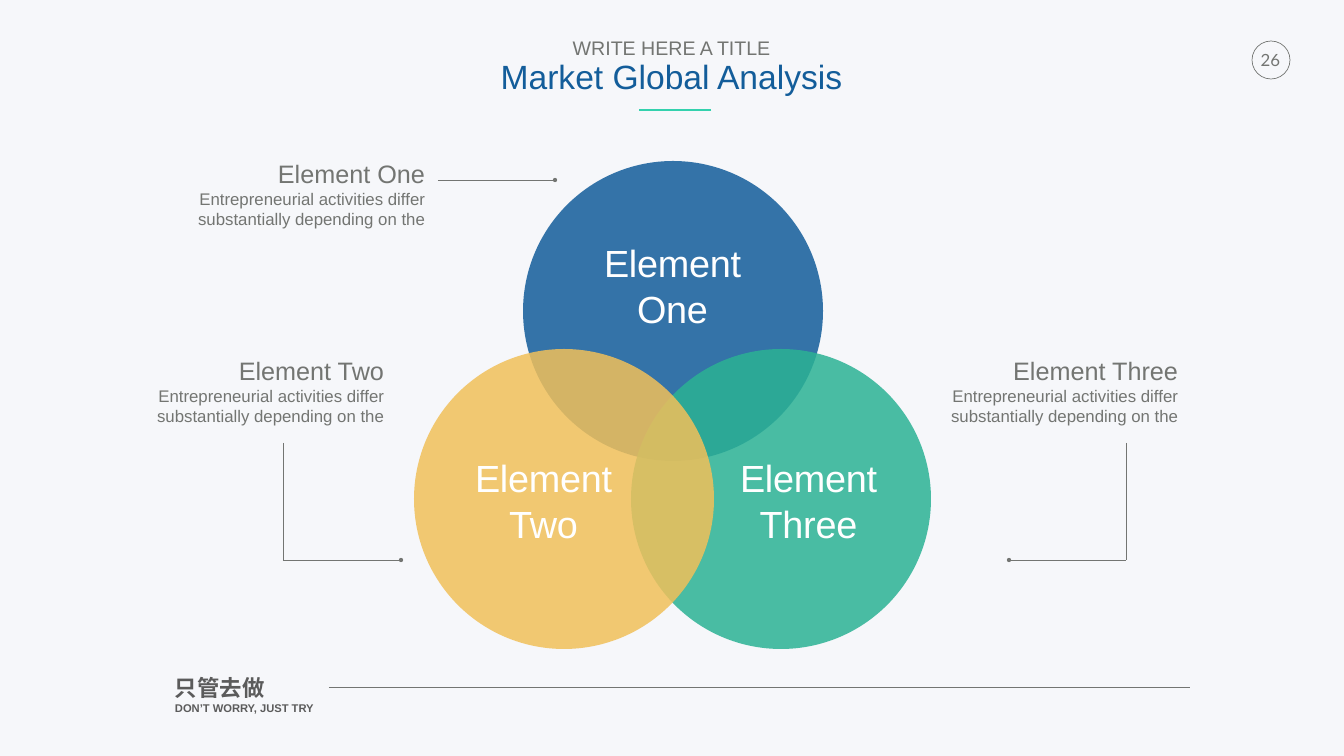
"""Build the market analysis slide with three overlapping circles and callouts."""
from lxml import etree
from pptx import Presentation
from pptx.dml.color import RGBColor
from pptx.enum.shapes import MSO_CONNECTOR, MSO_SHAPE
from pptx.enum.text import MSO_AUTO_SIZE, PP_ALIGN
from pptx.oxml.ns import qn
from pptx.util import Pt

PX = 914400 / 50.4
OVAL, STRAIGHT = MSO_SHAPE.OVAL, MSO_CONNECTOR.STRAIGHT
LEFT, CENTER, RIGHT = PP_ALIGN.LEFT, PP_ALIGN.CENTER, PP_ALIGN.RIGHT
FIT = MSO_AUTO_SIZE.SHAPE_TO_FIT_TEXT

BACKGROUND = RGBColor(0xF6, 0xF7, 0xFA)
GRAY = RGBColor(0x73, 0x75, 0x72)
DARK = RGBColor(0x5B, 0x5B, 0x5B)
BLUE = RGBColor(0x13, 0x5D, 0x9A)
GREEN = RGBColor(0x2B, 0xB2, 0x94)
YELLOW = RGBColor(0xF1, 0xC0, 0x5A)
MINT = RGBColor(0x33, 0xD1, 0xAD)
WHITE = RGBColor(0xFF, 0xFF, 0xFF)

SLOGAN = [("只管去做", 32, DARK), ("DON’T WORRY, JUST TRY", 16, DARK)]
TITLE = [("WRITE HERE A TITLE", 28, GRAY), ("Market Global Analysis", 48, BLUE)]
PAGE = [("26", 24, GRAY)]
DETAIL = "Entrepreneurial activities differ substantially depending on the"

DIAMETER = 300
CIRCLES = [(523, 161, BLUE), (631, 349, GREEN), (414, 349, YELLOW)]
LABELS = [("Element\vOne", 593, 238), ("Element\vTwo", 464, 453),
          ("Element\vThree", 729, 453)]
CALLOUTS = [("Element One", 126, 151, 306), ("Element Two", 85, 348, 306),
            ("Element Three", 931, 348, 254)]
LEADERS = [[(438, 180), (555, 180)],
           [(283, 443), (283, 560), (401, 560)],
           [(1126, 443), (1126, 560), (1009, 560)]]


def emu(*lengths):
    return [round(n * PX) for n in lengths]


def add_circle(shapes, x, y, size, fill=None):
    sp = shapes.add_shape(OVAL, *emu(x, y, size, size))
    sp.shadow.inherit = False
    if fill is None:
        sp.fill.background()
        sp.line.color.rgb = GRAY
        sp.line.width = Pt(1)
        return
    sp.fill.solid()
    sp.fill.fore_color.rgb = fill
    color = sp._element.spPr.find(qn("a:solidFill"))[0]
    etree.SubElement(color, qn("a:alpha"), val="85000")
    sp.line.fill.background()


def add_line(shapes, start, end, color=GRAY, width=1, dot=False):
    cxn = shapes.add_connector(STRAIGHT, *emu(*start, *end))
    cxn.line.color.rgb = color
    cxn.line.width = Pt(width)
    spPr = cxn._element.spPr
    if dot:
        etree.SubElement(spPr.find(qn("a:ln")), qn("a:tailEnd"), type="oval")
    etree.SubElement(spPr, qn("a:effectLst"))


def add_text(shapes, box, paragraphs, align, inset=2, wrap=True, font="Arial",
             bold=False, spacing=None, tracking=None):
    tf = shapes.add_textbox(*emu(*box)).text_frame
    tf.word_wrap = wrap
    tf.auto_size = FIT
    tf.margin_left, tf.margin_top, tf.margin_right, tf.margin_bottom = emu(*[inset] * 4)
    for i, (text, size, color) in enumerate(paragraphs):
        p = tf.add_paragraph() if i else tf.paragraphs[0]
        p.alignment = align
        p.line_spacing = spacing
        for j, part in enumerate(text.split("\v")):
            if j:
                p.add_line_break()
            r = p.add_run()
            r.text = part
            r.font.name = font
            r.font.size = Pt(size)
            r.font.bold = bold
            r.font.color.rgb = color
            if tracking:
                r._r.get_or_add_rPr().set("spc", str(tracking))


def main():
    prs = Presentation()
    prs.slide_width, prs.slide_height = emu(1344, 756)
    s = prs.slides.add_slide(prs.slide_layouts[6])
    s.background.fill.solid()
    s.background.fill.fore_color.rgb = BACKGROUND
    shapes = s.shapes

    add_circle(shapes, 1252, 41, 38)
    add_text(shapes, (173, 672, 201, 50), SLOGAN, LEFT, bold=True)
    add_line(shapes, (329, 687), (1190, 687), width=0.25)
    add_text(shapes, (1253, 45, 35, 30), PAGE, CENTER, inset=5, wrap=False, font="Lato")

    for x, y, color in CIRCLES:
        add_circle(shapes, x, y, DIAMETER, color)
    for text, x, y in LABELS:
        add_text(shapes, (x, y, 159, 96), [(text, 54, WHITE)], CENTER, tracking=-40)

    add_text(shapes, (494, 37, 355, 67), TITLE, CENTER, wrap=False, spacing=0.9)
    add_line(shapes, (711, 110), (639, 110), MINT, 3)

    for name, x, y, width in CALLOUTS:
        add_text(shapes, (x, y, width, 84), [(name, 36, GRAY), (DETAIL, 24, GRAY)],
                 RIGHT, inset=7)
    for points in LEADERS:
        for start, end in zip(points, points[1:]):
            add_line(shapes, start, end, dot=end == points[-1])

    prs.save("out.pptx")


if __name__ == "__main__":
    main()
